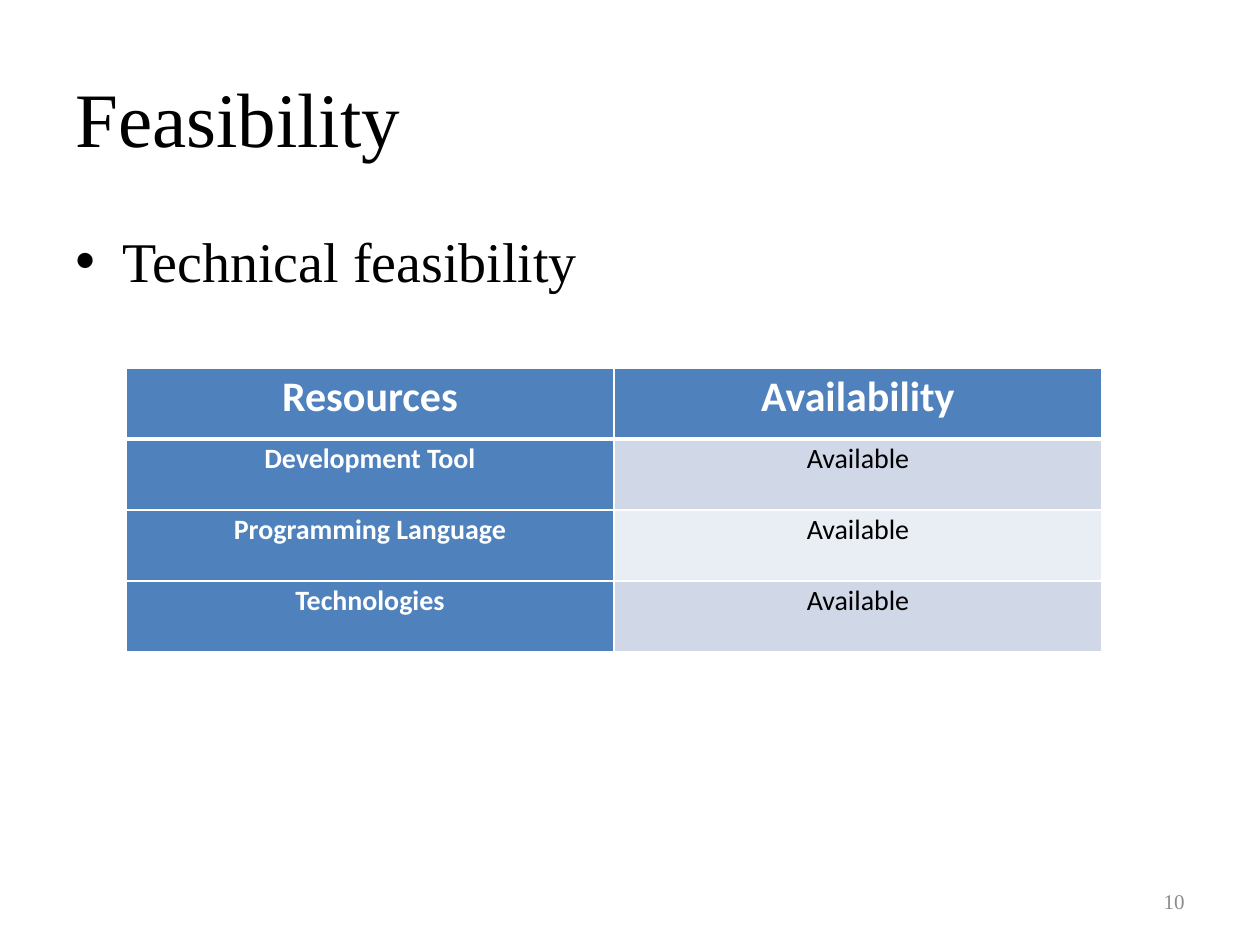
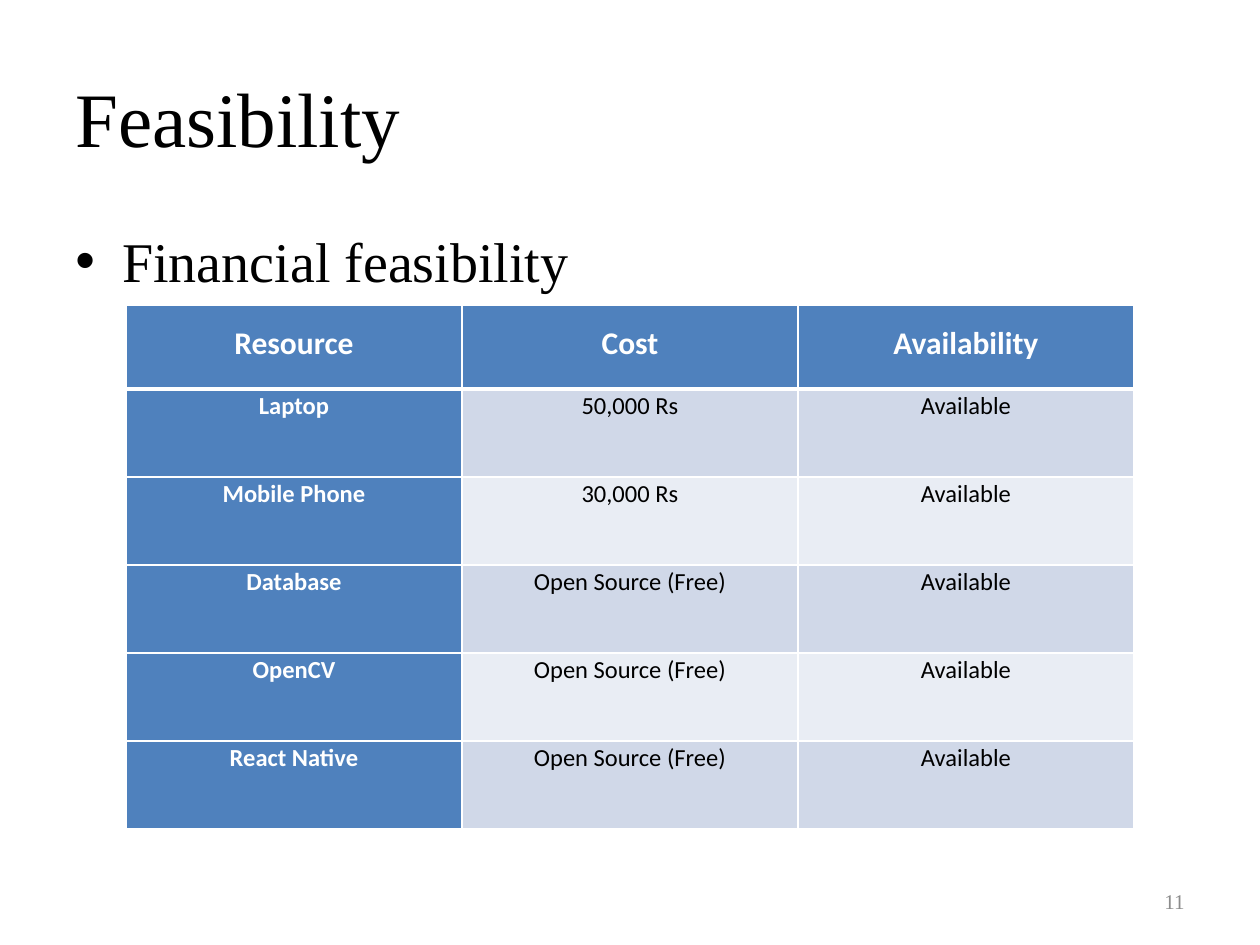
from lxml import etree
from pptx import Presentation
from pptx import util as u
from pptx.dml.color import RGBColor
from pptx.enum import text
from pptx.oxml import ns

PX = u.Inches(1) / 126
BLACK = RGBColor(0x00, 0x00, 0x00)
WHITE = RGBColor(0xFF, 0xFF, 0xFF)
GREY = RGBColor(0x8C, 0x8C, 0x8C)
BLUE = RGBColor(0x4F, 0x81, 0xBD)
BANDS = (RGBColor(0xD0, 0xD8, 0xE8), RGBColor(0xE9, 0xED, 0xF4))
SERIF, SANS = "Times New Roman", "Calibri"
THIN, THICK = 1, 3


def px(length):
    return u.Emu(round(length * PX))


def add_xml(parent, tag, **attributes):
    return etree.SubElement(parent, ns.qn(tag), attributes)


class Deck:
    """Feasibility slides with a shared title, bullet, page number and table style."""

    def __init__(self):
        self.presentation = Presentation()
        self.presentation.slide_width = px(1260)
        self.presentation.slide_height = px(945)
        self.slide = None

    def add_slide(self, title, topic, number):
        self.slide = self.presentation.slides.add_slide(self.presentation.slide_layouts[6])
        middle = text.MSO_ANCHOR.MIDDLE
        self.add_text(title, (63, 38, 1134, 158), 44, anchor=middle)
        self.add_bullet(topic)
        page = self.add_text(str(number), (903, 876, 294, 50), 12, GREY, middle)
        page.alignment = text.PP_ALIGN.RIGHT

    def style(self, paragraph, font_name, size, color, bold=False):
        font = paragraph.font
        font.name, font.size, font.bold = font_name, u.Pt(size), bold
        font.color.rgb = color

    def add_text(self, words, box, size, color=BLACK, anchor=text.MSO_ANCHOR.TOP):
        frame = self.slide.shapes.add_textbox(*map(px, box)).text_frame
        frame.word_wrap = True
        frame.vertical_anchor = anchor
        paragraph = frame.paragraphs[0]
        paragraph.text = words
        self.style(paragraph, SERIF, size, color)
        return paragraph

    def add_bullet(self, words):
        paragraph = self.add_text(words, (63, 220, 1134, 624), 32)
        paragraph.space_before = u.Pt(6.4)
        properties = paragraph._p.get_or_add_pPr()
        properties.set("marL", str(px(47)))
        properties.set("indent", str(-px(47)))
        bullet_font = etree.Element(ns.qn("a:buFont"), typeface="Arial")
        bullet = etree.Element(ns.qn("a:buChar"), char="•")
        spacing = properties.find(ns.qn("a:spcBef"))
        spacing.addnext(bullet_font)
        bullet_font.addnext(bullet)

    def add_table(self, rows, box, header_height, header_size, body_size, header_spacing):
        left, top, width, height = box
        row_count, column_count = len(rows), len(rows[0])
        table = self.slide.shapes.add_table(row_count, column_count, *map(px, box)).table
        table.first_row = table.horz_banding = False
        body_height = (height - header_height) // (row_count - 1)
        for column in table.columns:
            column.width = px(width // column_count)
        for row_index, row in enumerate(rows):
            is_header = row_index == 0
            table.rows[row_index].height = px(header_height if is_header else body_height)
            size = header_size if is_header else body_size
            spacing = header_spacing if is_header else 1.07
            for column_index, words in enumerate(row):
                strong = is_header or column_index == 0
                cell = table.cell(row_index, column_index)
                self.add_borders(cell, row_index)
                cell.fill.solid()
                cell.fill.fore_color.rgb = BLUE if strong else BANDS[(row_index - 1) % 2]
                cell.margin_left = cell.margin_right = px(9)
                cell.margin_top = cell.margin_bottom = 0
                paragraph = cell.text_frame.paragraphs[0]
                paragraph.text = words
                paragraph.alignment = text.PP_ALIGN.CENTER
                paragraph.line_spacing = spacing
                self.style(paragraph, SANS, size, WHITE if strong else BLACK, strong)

    def add_borders(self, cell, row_index):
        properties = cell._tc.get_or_add_tcPr()
        top = THICK if row_index == 1 else THIN
        bottom = THICK if row_index == 0 else THIN
        for side, points in zip("LRTB", (THIN, THIN, top, bottom)):
            line = add_xml(properties, f"a:ln{side}", w=str(u.Pt(points)))
            add_xml(add_xml(line, "a:solidFill"), "a:srgbClr", val=str(WHITE))


def main():
    deck = Deck()
    deck.add_slide("Feasibility", "Technical feasibility", 10)
    resources = ("Development Tool", "Programming Language", "Technologies")
    deck.add_table(
        [("Resources", "Availability")] + [(name, "Available") for name in resources],
        (126, 368, 976, 284), header_height=71,
        header_size=24, body_size=16, header_spacing=1.07)

    deck.add_slide("Feasibility", "Financial feasibility", 11)
    free = "Open Source (Free)"
    costs = {"Laptop": "50,000 Rs", "Mobile Phone": "30,000 Rs",
             "Database": free, "OpenCV": free, "React Native": free}
    deck.add_table(
        [("Resource", "Cost", "Availability")]
        + [(name, cost, "Available") for name, cost in costs.items()],
        (126, 305, 1008, 524), header_height=84,
        header_size=18, body_size=14, header_spacing=1.5)
    deck.presentation.save("out.pptx")


if __name__ == "__main__":
    main()
